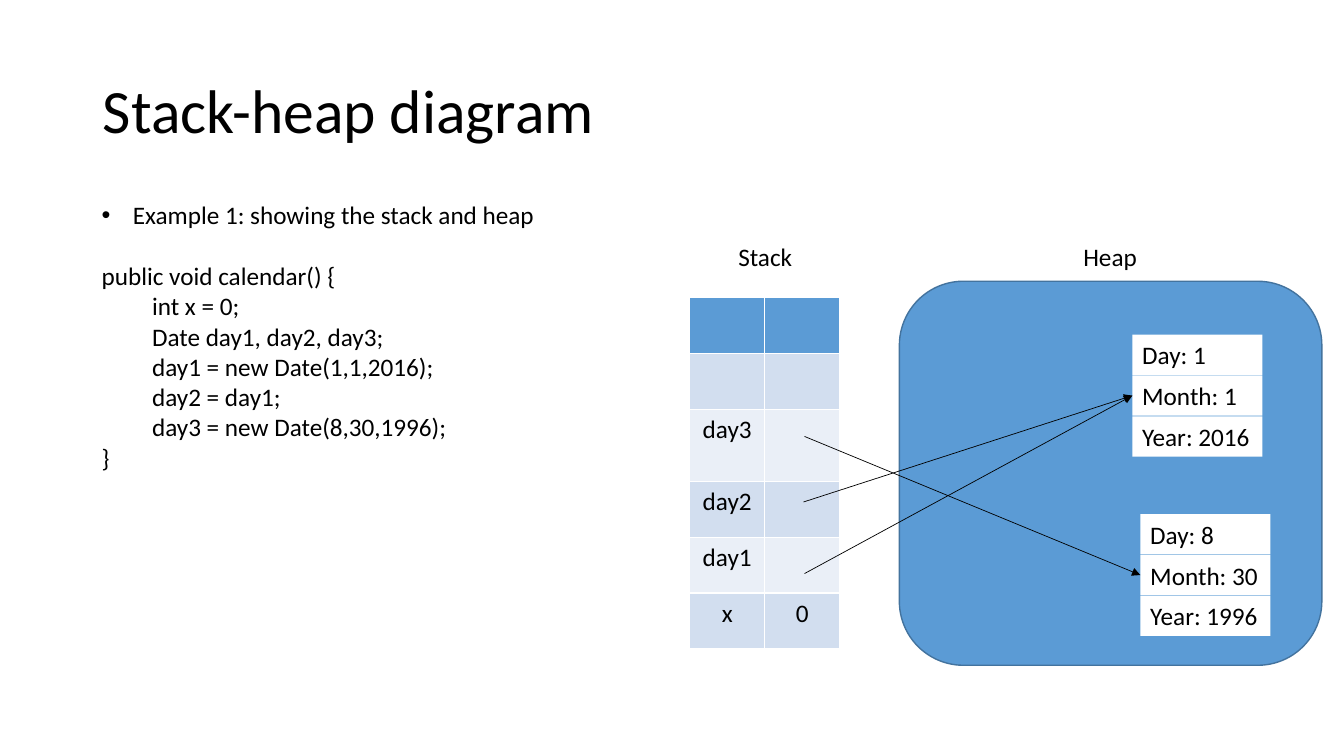
from pptx import Presentation
from pptx.dml.color import RGBColor as RGB
from pptx.enum.shapes import MSO_CONNECTOR as Conn, MSO_SHAPE as Kind
from pptx.enum.text import MSO_ANCHOR as Anchor, PP_ALIGN as Align
from pptx.oxml.ns import qn
from pptx.util import Inches, Pt
from lxml.etree import SubElement

# Content
TITLE = "Stack-heap diagram"
INTRO = "Example 1: showing the stack and heap"
CODE = [  # indent level, text
    (0, "public void calendar() {"),
    (1, "int x = 0;"),
    (1, "Date day1, day2, day3;"),
    (1, "day1 = new Date(1,1,2016);"),
    (1, "day2 = day1;"),
    (1, "day3 = new Date(8,30,1996);"),
    (0, "}"),
]
STACK = [("", ""), ("", ""), ("day3", ""), ("day2", ""), ("day1", ""), ("x", "0")]
DATES = [  # left, top, fields
    (11.23, 3.32, ["Day: 1", "Month: 1", "Year: 2016"]),
    (11.31, 5.1, ["Day: 8", "Month: 30", "Year: 1996"]),
]
LABELS = [("Stack", 6.07), ("Heap", 9.49)]
REFS = [(7.98, 5.69, 0), (7.97, 4.98, 0), (7.98, 4.33, 1)]  # start, date index

# Format
BLUE, EDGE, WHITE, BLACK = "5B9BD5", "43739E", "FFFFFF", "000000"
BANDS = ["EAEFF7", "D2DEEF"]
BODY = {"size": Pt(18), "name": "Calibri", "bold": False}
HEAD = {"size": Pt(44), "name": "Calibri", "bold": False}
COL, ROW, TALL = 0.745, 0.555, 0.715
BOX_W, BOX_H, STEP = 1.29, 0.4, 0.405


def color(part, code):
    if hasattr(part, "solid"):
        part.solid()
        part = part.fore_color
    else:
        part = part.color
    part.rgb = RGB.from_string(code)


def write(par, text, form=BODY, align=Align.LEFT):
    par.alignment = align
    run = par.add_run()
    run.text = text
    for key, val in form.items():
        setattr(run.font, key, val)
    color(run.font, BLACK)


def place(part, *box):
    for key, val in zip(("left", "top", "width", "height"), box):
        setattr(part, key, Inches(val))


def block(kind, box, fill, edge=None):
    part = slide.shapes.add_shape(kind, *map(Inches, box))
    part.shadow.inherit = False
    color(part.fill, fill)
    if edge:
        color(part.line, edge)
        part.line.width = Pt(1)
    else:
        part.line.fill.background()
    return part


def textbox(*box):
    frame = slide.shapes.add_textbox(*map(Inches, box)).text_frame
    frame.word_wrap = True
    return frame


deck = Presentation()
deck.slide_width, deck.slide_height = Inches(13.33), Inches(7.5)
slide = deck.slides.add_slide(deck.slide_layouts[5])

# Title
title = slide.shapes.title
place(title, 0.92, 0.4, 11.5, 1.45)
title.text_frame.vertical_anchor = Anchor.MIDDLE
line = title.text_frame.paragraphs[0]
line.line_spacing = 0.9
write(line, TITLE, HEAD)

# Stack table
grid = slide.shapes.add_table(len(STACK), 2, Inches(6.84), Inches(2.95),
                              Inches(2 * COL), Inches(5 * ROW + TALL)).table
for col in grid.columns:
    col.width = Inches(COL)
for i, texts in enumerate(STACK):
    grid.rows[i].height = Inches(TALL if texts[0] == "day3" else ROW)
    for j, text in enumerate(texts):
        cell = grid.cell(i, j)
        color(cell.fill, BANDS[i % 2] if i else BLUE)
        if text:
            write(cell.text_frame.paragraphs[0], text, align=Align.CENTER)

# Column labels and heap
for text, left in LABELS:
    write(textbox(left, 2.34, 3.04, 0.4).paragraphs[0], text, align=Align.CENTER)
block(Kind.ROUNDED_RECTANGLE, (8.92, 2.79, 4.19, 3.81), BLUE, EDGE)

# Date objects
for left, top, fields in DATES:
    for i, text in enumerate(fields):
        part = block(Kind.RECTANGLE, (left, top + i * STEP, BOX_W, BOX_H), WHITE)
        part.text_frame.word_wrap = False
        part.text_frame.vertical_anchor = Anchor.TOP
        write(part.text_frame.paragraphs[0], text)

# Bullet and code
frame = textbox(0.91, 1.93, 5.55, 2.83)
first = frame.paragraphs[0]
write(first, INTRO)
props = first._p.get_or_add_pPr()
props.set("marL", str(Inches(0.31)))
props.set("indent", str(-Inches(0.31)))
SubElement(props, qn("a:buFont")).set("typeface", "Arial")
SubElement(props, qn("a:buChar")).set("char", "•")
for i, (level, text) in enumerate(CODE):
    par = frame.add_paragraph()
    write(par, text)
    par.level = level
    par._p.get_or_add_pPr().set("marL", str(Inches(0.5 * level)))
    if i == 0:
        par.space_before = Pt(22)

# References from stack to heap
for x, y, k in REFS:
    left, top, _ = DATES[k]
    ends = (x, y, left, top + STEP + BOX_H / 2)
    arrow = slide.shapes.add_connector(Conn.STRAIGHT, *map(Inches, ends))
    color(arrow.line, BLACK)
    arrow.line.width = Pt(0.5)
    SubElement(arrow.line._get_or_add_ln(), qn("a:tailEnd")).set("type", "triangle")
    SubElement(arrow._element.spPr, qn("a:effectLst"))

deck.save("out.pptx")
